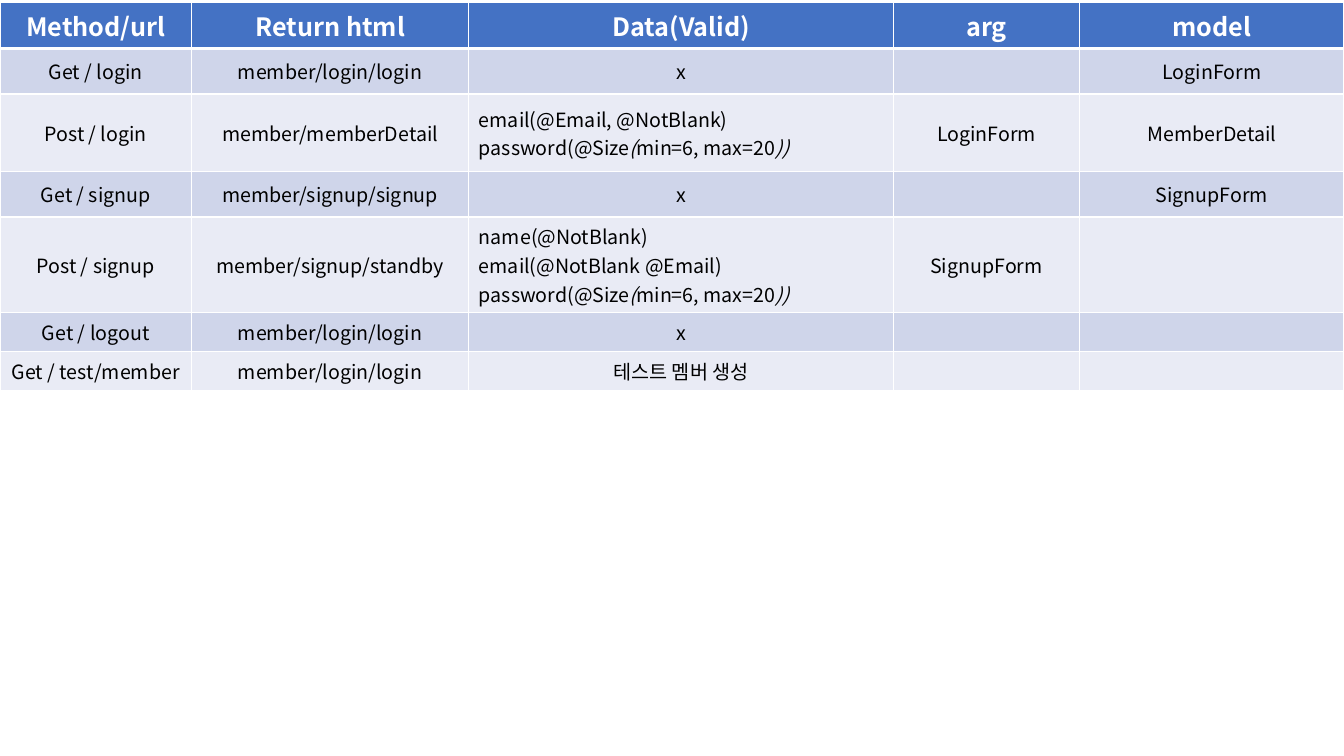
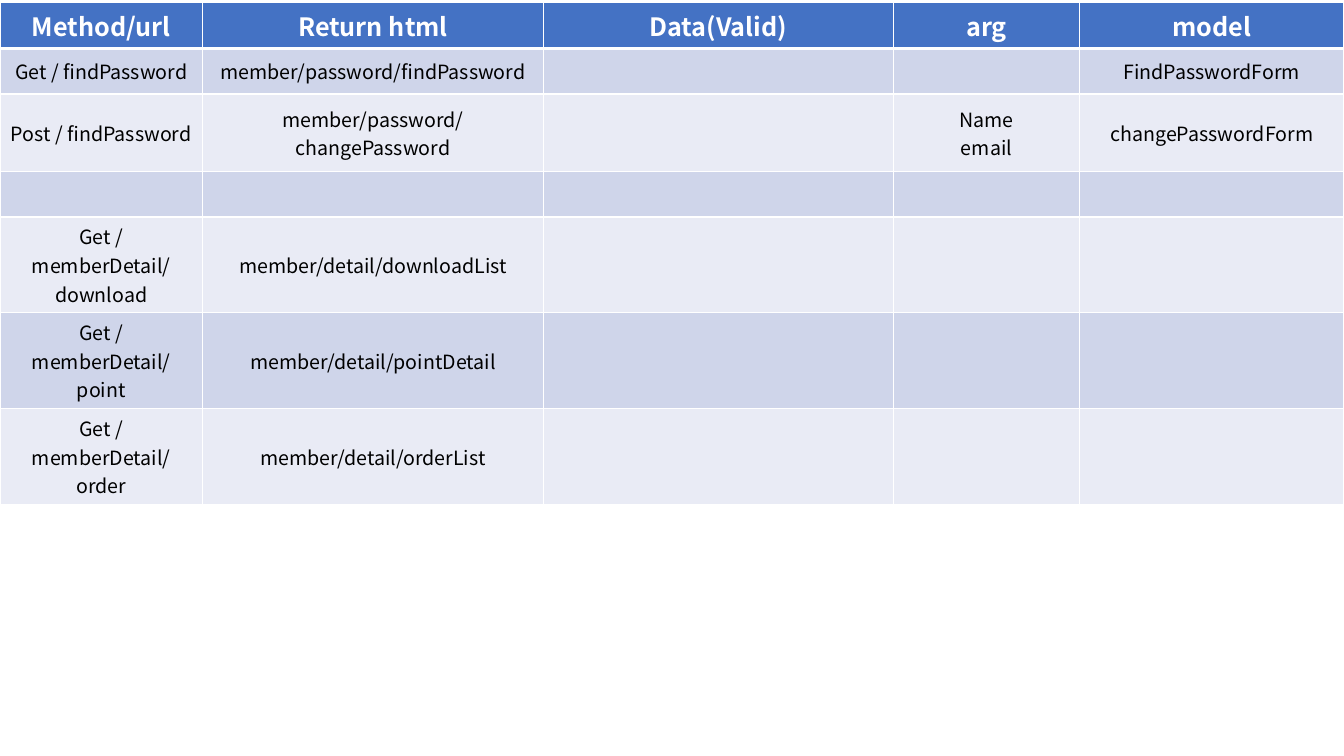
from lxml import etree
from pptx import Presentation
from pptx.dml.color import RGBColor
from pptx.enum.text import MSO_ANCHOR, PP_ALIGN
from pptx.oxml.ns import qn
from pptx.util import Inches, Pt

LEFT, CENTER = PP_ALIGN.LEFT, PP_ALIGN.CENTER
MIDDLE = MSO_ANCHOR.MIDDLE

WHITE = RGBColor(0xFF, 0xFF, 0xFF)
BLACK = RGBColor(0x00, 0x00, 0x00)
HEADER_BLUE = RGBColor(0x44, 0x72, 0xC4)
BANDS = (RGBColor(0xE9, 0xEB, 0xF5), RGBColor(0xCF, 0xD5, 0xEA))

FONT = "Noto Sans CJK KR"
HEADER_SIZE, BODY_SIZE = 18, 14
THIN, THICK = 1, 3
SLIDE_WIDTH, SLIDE_HEIGHT = 13.33, 7.5
TABLE_TOP = 0.02

ITALIC_MARK = "*"
SIZE_RULE = "password(@Size*(*min=6, max=20*))*"
DETAIL_URL = "Get /\vmemberDetail/\v"
HEADINGS = ("Method/url", "Return html", "Data(Valid)", "arg", "model")

ACCOUNT_ROUTES = (
    ("Get / login", "member/login/login", "x", "", "LoginForm"),
    ("Post / login", "member/memberDetail",
     "email(@Email, @NotBlank)\n" + SIZE_RULE, "LoginForm", "MemberDetail"),
    ("Get / signup", "member/signup/signup", "x", "", "SignupForm"),
    ("Post / signup", "member/signup/standby",
     "name(@NotBlank)\vemail(@NotBlank @Email)\v" + SIZE_RULE, "SignupForm", ""),
    ("Get / logout", "member/login/login", "x", "", ""),
    ("Get / test/member", "member/login/login", "테스트 멤버 생성", "", ""),
)
ACCOUNT_WIDTHS = (1.9, 2.75, 4.21, 1.85, 2.62)
ACCOUNT_HEIGHTS = (0.45, 0.45, 0.77, 0.45, 0.95, 0.38, 0.38)

DETAIL_ROUTES = (
    ("Get / findPassword", "member/password/findPassword", "", "", "FindPasswordForm"),
    ("Post / findPassword", "member/password/\vchangePassword", "", "Name\nemail",
     "changePasswordForm"),
    ("", "", "", "", ""),
    (DETAIL_URL + "download", "member/detail/downloadList", "", "", ""),
    (DETAIL_URL + "point", "member/detail/pointDetail", "", "", ""),
    (DETAIL_URL + "order", "member/detail/orderList", "", "", ""),
)
DETAIL_WIDTHS = (2.01, 3.38, 3.47, 1.85, 2.62)
DETAIL_HEIGHTS = (0.45, 0.45, 0.77, 0.45, 0.95, 0.95, 0.95)


def add_run(paragraph, text, size, color, bold, italic):
    run = paragraph.add_run()
    run.text = text
    font = run.font
    font.name, font.size = FONT, Pt(size)
    font.bold, font.italic = bold, italic
    font.color.rgb = color
    etree.SubElement(run._r.get_or_add_rPr(), qn("a:ea"), typeface=FONT)


def write_text(text_frame, text, *, size=BODY_SIZE, color=BLACK, bold=False, align=CENTER):
    for line_number, line in enumerate(text.split("\n")):
        paragraph = text_frame.add_paragraph() if line_number else text_frame.paragraphs[0]
        paragraph.alignment = align
        if not line:
            etree.SubElement(paragraph._p, qn("a:endParaRPr"), sz=str(size * 100))
        for piece_number, piece in enumerate(line.split(ITALIC_MARK)):
            for part_number, part in enumerate(piece.split("\v")):
                if part_number:
                    paragraph.add_line_break()
                if part:
                    add_run(paragraph, part, size, color, bold, piece_number % 2 == 1)


def set_borders(cell, **widths):
    properties = cell._tc.get_or_add_tcPr()
    for side in "LRTB":
        width = Pt(widths.get(side, THIN))
        line = etree.SubElement(properties, qn(f"a:ln{side}"), w=str(width))
        fill = etree.SubElement(line, qn("a:solidFill"))
        etree.SubElement(fill, qn("a:srgbClr"), val=str(WHITE))


def style_cell(cell, fill_color, **border_widths):
    cell.vertical_anchor = MIDDLE
    set_borders(cell, **border_widths)
    cell.fill.solid()
    cell.fill.fore_color.rgb = fill_color


def add_header(table):
    for cell, heading in zip(table.rows[0].cells, HEADINGS):
        style_cell(cell, HEADER_BLUE, B=THICK)
        write_text(cell.text_frame, heading, size=HEADER_SIZE, color=WHITE, bold=True)


def add_routes(table, routes):
    for row_number, route in enumerate(routes, start=1):
        for cell, text in zip(table.rows[row_number].cells, route):
            style_cell(cell, BANDS[row_number % 2], T=THICK if row_number == 1 else THIN)
            write_text(cell.text_frame, text, align=LEFT if "@" in text else CENTER)


def add_route_table(slide, left, top, widths, heights, routes):
    frame = slide.shapes.add_table(
        len(heights), len(widths), Inches(left), Inches(top),
        Inches(sum(widths)), Inches(sum(heights)))
    table = frame.table
    table.horz_banding = False
    for column, width in zip(table.columns, widths):
        column.width = Inches(width)
    for row, height in zip(table.rows, heights):
        row.height = Inches(height)
    add_header(table)
    add_routes(table, routes)


def add_route_slide(presentation, widths, heights, routes):
    slide = presentation.slides.add_slide(presentation.slide_layouts[6])
    add_route_table(slide, 0, TABLE_TOP, widths, heights, routes)


def main():
    presentation = Presentation()
    presentation.slide_width = Inches(SLIDE_WIDTH)
    presentation.slide_height = Inches(SLIDE_HEIGHT)
    add_route_slide(presentation, ACCOUNT_WIDTHS, ACCOUNT_HEIGHTS, ACCOUNT_ROUTES)
    add_route_slide(presentation, DETAIL_WIDTHS, DETAIL_HEIGHTS, DETAIL_ROUTES)
    presentation.save("out.pptx")


main()
